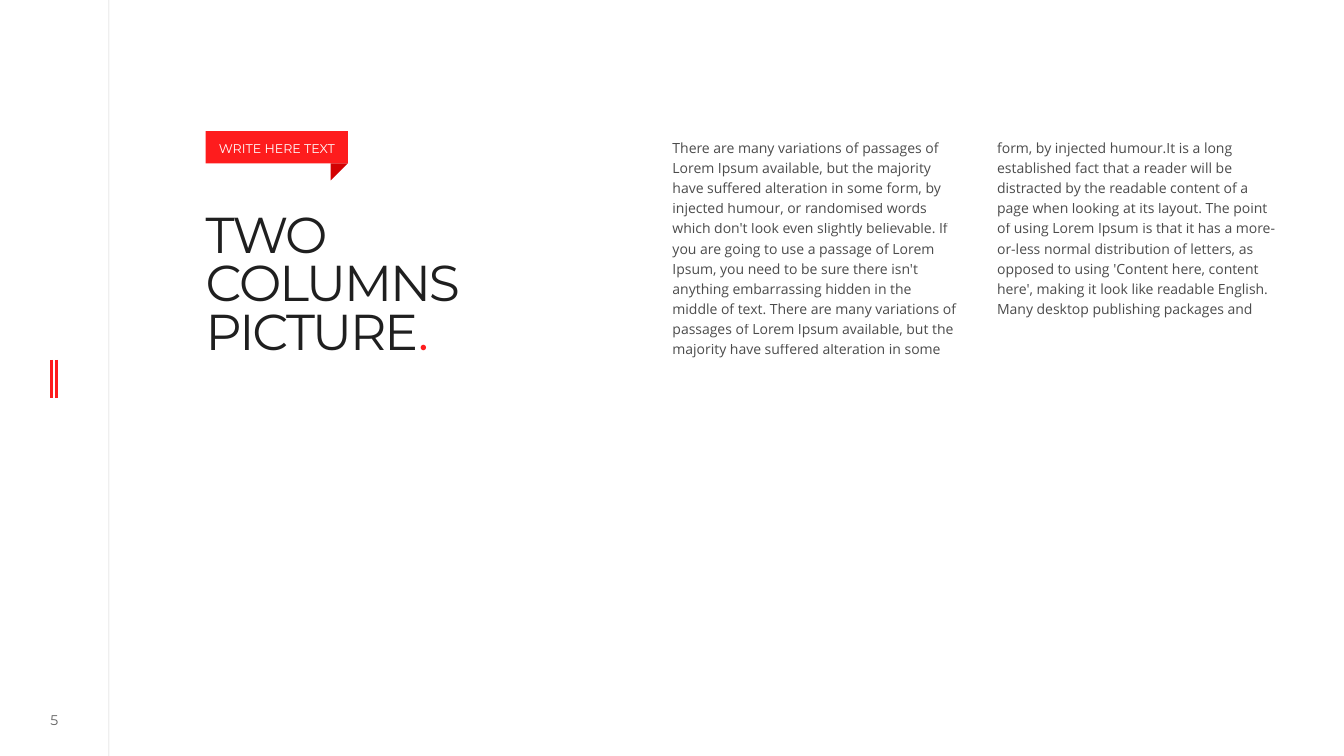
from lxml import etree
from pptx import Presentation
from pptx.dml.color import RGBColor
from pptx.enum import shapes as sh, text as tx
from pptx.oxml.ns import qn
from pptx.util import Inches, Pt

INK = RGBColor(0x1F, 0x1F, 0x1F)
RED = RGBColor(0xFE, 0x1C, 0x1D)
DARK = RGBColor(0xD3, 0x01, 0x02)
WHITE = RGBColor(0xFF, 0xFF, 0xFF)
HEAD, BODY = "Montserrat", "Open Sans"
LEFT, CENTER = tx.PP_ALIGN.LEFT, tx.PP_ALIGN.CENTER

STORY = [
    "There are many variations of passages of Lorem Ipsum available, but the "
    "majority have suffered alteration in some form, by injected humour, or "
    "randomised words which don't look even slightly believable.",
    "If you are going to use a passage of Lorem Ipsum, you need to be sure "
    "there isn't anything embarrassing hidden in the middle of text.",
    "There are many variations of passages of Lorem Ipsum available, but the "
    "majority have suffered alteration in some form, by injected humour.It is "
    "a long established fact that a reader will be distracted by the readable "
    "content of a page when looking at its layout.",
    "The point of using Lorem Ipsum is that it has a more-or-less normal "
    "distribution of letters, as opposed to using 'Content here, content "
    "here', making it look like readable English.",
    "Many desktop publishing packages and",
]


def fade(props, alpha):
    """Make the colours partly transparent; alpha is the opacity in percent."""
    for color in props.iter(qn("a:srgbClr")):
        etree.SubElement(color, qn("a:alpha"), val=str(alpha * 1000))


def frame(shape, top=0, bottom=0, anchor=tx.MSO_ANCHOR.TOP):
    body = shape.text_frame
    looks = {
        "word_wrap": True, "vertical_anchor": anchor,
        "margin_left": 0, "margin_right": 0,
        "margin_top": Inches(top), "margin_bottom": Inches(bottom),
    }
    for key, value in looks.items():
        setattr(body, key, value)
    return body


def write(para, words, size, color, name=HEAD, align=LEFT, alpha=None):
    para.alignment = align
    run = para.add_run()
    run.text = words
    for key, value in {"size": Pt(size), "name": name}.items():
        setattr(run.font, key, value)
    run.font.color.rgb = color
    if alpha:
        fade(run.font._element, alpha)
    return run


def box(slide, left, top, width, height):
    return slide.shapes.add_textbox(*map(Inches, (left, top, width, height)))


def block(slide, kind, color, left, top, width, height):
    shape = slide.shapes.add_shape(kind, *map(Inches, (left, top, width, height)))
    shape.shadow.inherit = False
    shape.fill.solid()
    shape.fill.fore_color.rgb = color
    shape.line.fill.background()
    return shape


def rule(slide, left, top, height, color, width, alpha=None):
    """Draw a vertical line."""
    ends = map(Inches, (left, top, left, top + height))
    line = slide.shapes.add_connector(sh.MSO_CONNECTOR.STRAIGHT, *ends)
    line.line.color.rgb = color
    line.line.width = Pt(width)
    props = line._element.spPr
    if alpha:
        fade(props, alpha)
    etree.SubElement(props, qn("a:effectLst"))


def margin(slide, width, height, number):
    """Side strip with its edge, the double mark and the page number."""
    rule(slide, width, 0, height, INK, 0.5, 20)
    for left in (0.51, 0.56):
        rule(slide, left, 3.57, 0.38, RED, 2)
    body = frame(box(slide, 0.26, height - 0.48, 0.56, 0.25),
                 anchor=tx.MSO_ANCHOR.MIDDLE)
    write(body.paragraphs[0], number, 10, INK, align=CENTER, alpha=70)


def badge(slide, left, top, width, height, words):
    """Red label with a folded corner under its right end."""
    label = block(slide, sh.MSO_SHAPE.RECTANGLE, RED, left, top, width, height)
    body = frame(label, 0.07, 0.05, tx.MSO_ANCHOR.MIDDLE)
    write(body.paragraphs[0], words, 9, WHITE, align=CENTER)
    fold = 0.17
    corner = block(slide, sh.MSO_SHAPE.RIGHT_TRIANGLE, DARK,
                   left + width - fold, top + height, fold, fold)
    corner.rotation = 90


def title(slide, left, top, width, height, lines):
    """Heading of several lines, closed by a red full stop."""
    para = frame(box(slide, left, top, width, height), 0.21).paragraphs[0]
    para.line_spacing = 0.8
    runs = []
    for i, line in enumerate(lines):
        if i:
            para.add_line_break()
        runs.append(write(para, line, 36, INK))
    runs.append(write(para, ".", 36, RED))
    for run in runs:
        run.font._element.set("spc", "-150")


def story(slide, left, top, width, height, words):
    """Running text in two columns."""
    body = frame(box(slide, left, top, width, height), 0.05, 0.05)
    body.auto_size = tx.MSO_AUTO_SIZE.SHAPE_TO_FIT_TEXT
    props = body._txBody.bodyPr
    props.set("numCol", "2")
    props.set("spcCol", str(Inches(0.4)))
    para = body.paragraphs[0]
    para.line_spacing = 1.2
    write(para, words, 10, INK, BODY, alpha=80)


def main():
    deck = Presentation()
    deck.slide_width, deck.slide_height = Inches(13.33), Inches(7.5)
    slide = deck.slides.add_slide(deck.slide_layouts[6])
    left, top = 2.04, 1.3
    margin(slide, 1.08, 7.5, "5")
    title(slide, left, top + 0.62, 4.62, 1.77, ["TWO", "COLUMNS", "PICTURE"])
    badge(slide, left, top, 1.41, 0.32, "WRITE HERE TEXT")
    story(slide, 6.67, top, 6.04, 2.35, " ".join(STORY))
    deck.save("out.pptx")


if __name__ == "__main__":
    main()
